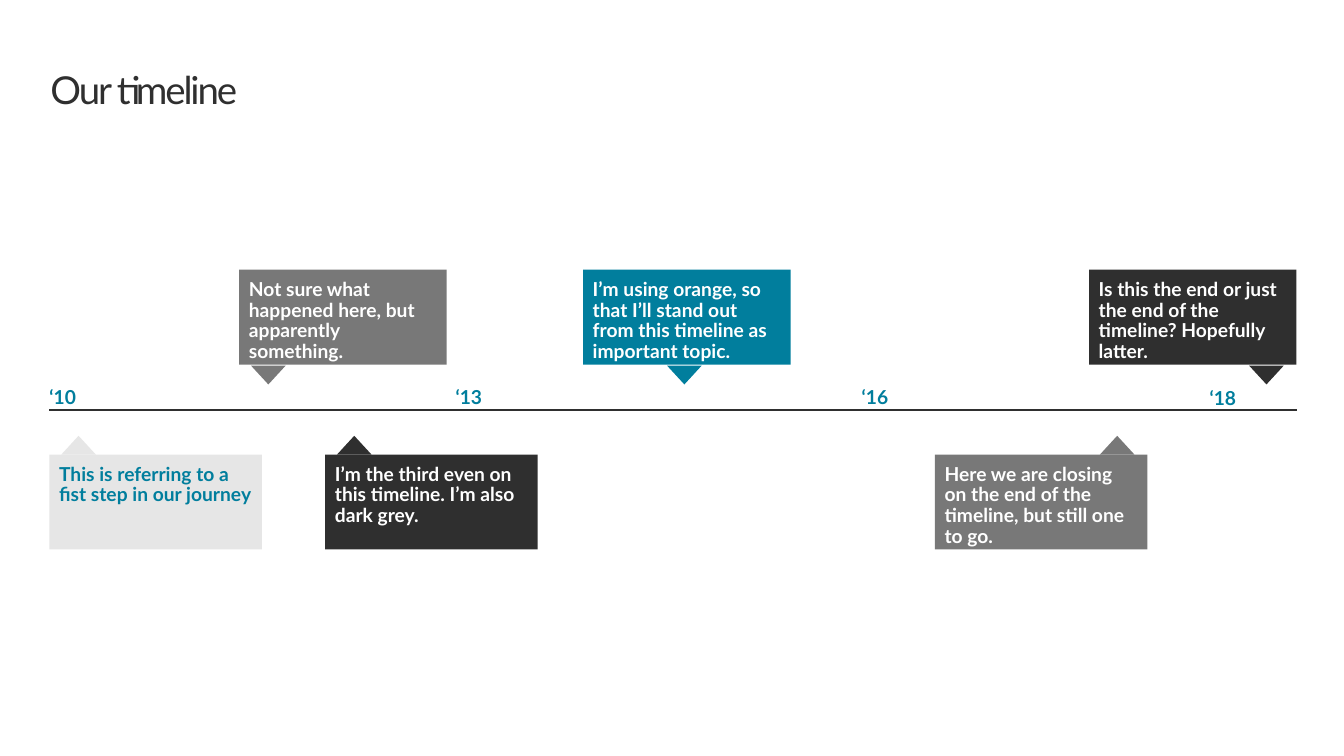
from lxml import etree
from pptx import Presentation
from pptx.dml.color import RGBColor
from pptx.enum.shapes import MSO_CONNECTOR, MSO_SHAPE
from pptx.enum.text import MSO_ANCHOR, MSO_AUTO_SIZE, PP_ALIGN
from pptx.oxml.ns import qn
from pptx.util import Inches, Pt

COLORS = {
    "teal": "017E9D",
    "dark": "2F2F2F",
    "grey": "787878",
    "light": "E6E6E6",
    "white": "FFFFFF",
}
FONT = "Lato"

AXIS_LEFT, AXIS_RIGHT, AXIS_Y = 0.5, 13.12, 4.15
CARD_HEIGHT = 0.96
POINTER_WIDTH, POINTER_HEIGHT = 0.35, 0.19
ABOVE_TOP, BELOW_TOP = 2.73, 4.6
ABOVE_WIDTH, BELOW_WIDTH = 2.1, 2.15

# Left edge, pointer offset, fill, text color, wording
EVENTS_ABOVE = [
    (5.9, 0.85, "teal", "white",
     "I’m using orange, so that I’ll stand out from this timeline as important topic."),
    (2.42, 0.12, "grey", "white",
     "Not sure what happened here, but apparently something."),
    (11.02, 1.62, "dark", "white",
     "Is this the end or just the end of the timeline? Hopefully latter."),
]
EVENTS_BELOW = [
    (0.5, 0.12, "light", "teal",
     "This is referring to a fist step in our journey"),
    (3.29, 0.12, "dark", "white",
     "I’m the third even on this timeline. I’m also dark grey."),
    (9.46, 1.67, "grey", "white",
     "Here we are closing on the end of the timeline, but still one to go."),
]
YEARS = [("‘10", 0.5, 3.91), ("‘13", 4.61, 3.91), ("‘16", 8.72, 3.91), ("‘18", 12.24, 3.92)]


def rgb(name):
    return RGBColor.from_string(COLORS[name])


def write_text(frame, text, *, color, size=14, bold=True, line_spacing=0.9,
               space_after=0, inset=0.0, wrap=True, tracking=None):
    frame.margin_left = frame.margin_right = Inches(inset)
    frame.margin_top = frame.margin_bottom = Inches(inset)
    frame.word_wrap = wrap
    frame.vertical_anchor = MSO_ANCHOR.TOP
    paragraph = frame.paragraphs[0]
    paragraph.alignment = PP_ALIGN.LEFT
    paragraph.line_spacing = line_spacing
    paragraph.space_after = Pt(space_after)
    run = paragraph.add_run()
    run.text = text
    run.font.name = FONT
    run.font.size = Pt(size)
    run.font.bold = bold
    run.font.color.rgb = rgb(color)
    if tracking is not None:
        run._r.get_or_add_rPr().set("spc", str(round(tracking * 100)))


class TimelineSlide:
    def __init__(self, presentation):
        self.slide = presentation.slides.add_slide(presentation.slide_layouts[6])
        self.shapes = self.slide.shapes

    def label(self, text, left, top, width, height, **style):
        box = self.shapes.add_textbox(Inches(left), Inches(top), Inches(width), Inches(height))
        write_text(box.text_frame, text, **style)
        box.text_frame.auto_size = MSO_AUTO_SIZE.SHAPE_TO_FIT_TEXT

    def filled_shape(self, shapes, kind, left, top, width, height, fill):
        shape = shapes.add_shape(kind, Inches(left), Inches(top), Inches(width), Inches(height))
        shape.shadow.inherit = False
        shape.fill.solid()
        shape.fill.fore_color.rgb = rgb(fill)
        shape.line.fill.background()
        return shape

    def event(self, left, pointer_offset, fill, color, text, *, above):
        """Add a card with a pointer aimed at the axis."""
        top = ABOVE_TOP if above else BELOW_TOP
        width = ABOVE_WIDTH if above else BELOW_WIDTH
        pointer_top = top + CARD_HEIGHT + 0.01 if above else top - POINTER_HEIGHT
        group = self.shapes.add_group_shape()
        card = self.filled_shape(group.shapes, MSO_SHAPE.RECTANGLE,
                                 left, top, width, CARD_HEIGHT, fill)
        write_text(card.text_frame, text, color=color, inset=0.1)
        pointer = self.filled_shape(group.shapes, MSO_SHAPE.ISOSCELES_TRIANGLE,
                                    left + pointer_offset, pointer_top,
                                    POINTER_WIDTH, POINTER_HEIGHT, fill)
        pointer.rotation = 180 if above else 0

    def axis(self):
        line = self.shapes.add_connector(MSO_CONNECTOR.STRAIGHT, Inches(AXIS_LEFT),
                                         Inches(AXIS_Y), Inches(AXIS_RIGHT), Inches(AXIS_Y))
        line.line.color.rgb = rgb("dark")
        line.line.width = Pt(1.5)
        etree.SubElement(line._element.spPr, qn("a:effectLst"))


def main():
    presentation = Presentation()
    presentation.slide_width = Inches(13.6)
    presentation.slide_height = Inches(7.65)

    timeline = TimelineSlide(presentation)
    timeline.label("Our timeline", 0.51, 0.69, 12.61, 0.45, color="dark", size=28,
                   bold=False, line_spacing=Pt(32), tracking=-1.5)
    for event in EVENTS_ABOVE:
        timeline.event(*event, above=True)
    for event in EVENTS_BELOW:
        timeline.event(*event, above=False)
    timeline.axis()
    for year, left, top in YEARS:
        timeline.label(year, left, top, 0.28, 0.22, color="teal",
                       line_spacing=Pt(16), space_after=6, wrap=False)

    presentation.save("out.pptx")


if __name__ == "__main__":
    main()
